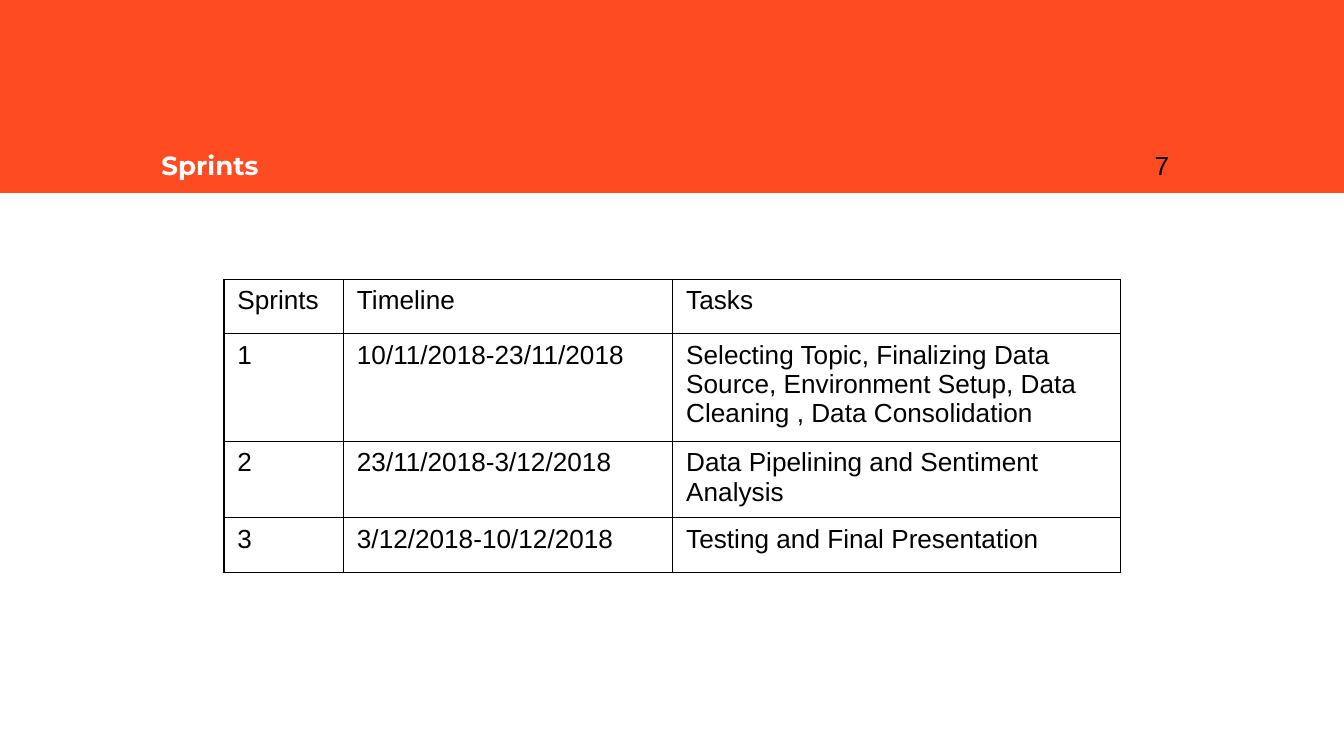
from dataclasses import dataclass

from lxml import etree
from pptx import Presentation
from pptx.dml.color import RGBColor
from pptx.enum.shapes import MSO_SHAPE
from pptx.enum.text import MSO_ANCHOR
from pptx.oxml.ns import qn
from pptx.util import Inches, Pt

RECTANGLE = MSO_SHAPE.RECTANGLE
BOTTOM = MSO_ANCHOR.BOTTOM
BORDER_SIDES = ("a:lnL", "a:lnR", "a:lnT", "a:lnB")
BLANK_LAYOUT = 6


@dataclass(frozen=True)
class Theme:
    banner: str = "FF4B21"
    title: str = "FFFFFF"
    ink: str = "000000"
    heading_font: str = "Montserrat"
    body_font: str = "Arial"
    size: float = 14
    border: float = 0.75


class SlideBuilder:
    COLUMNS = 100

    def __init__(self, presentation, theme):
        self.theme = theme
        self.slide = presentation.slides.add_slide(presentation.slide_layouts[BLANK_LAYOUT])
        self.unit = presentation.slide_width / self.COLUMNS

    def grid(self, *lengths):
        return [round(length * self.unit) for length in lengths]

    def run(self, paragraph, text, font, color, bold=False):
        paragraph.font.size = Pt(self.theme.size)
        run = paragraph.add_run()
        run.text = text
        run.font.name = font
        run.font.size = Pt(self.theme.size)
        run.font.bold = bold
        run.font.color.rgb = RGBColor.from_string(color)

    def banner(self, *box):
        shape = self.slide.shapes.add_shape(RECTANGLE, *self.grid(*box))
        shape.shadow.inherit = False
        shape.fill.solid()
        shape.fill.fore_color.rgb = RGBColor.from_string(self.theme.banner)
        shape.line.fill.background()

    def label(self, text, box, font, color, bold=False):
        frame = self.slide.shapes.add_textbox(*self.grid(*box)).text_frame
        frame.word_wrap = True
        frame.vertical_anchor = BOTTOM
        frame.margin_left, frame.margin_top, frame.margin_right, frame.margin_bottom = self.grid(1, 1, 1, 1)
        self.run(frame.paragraphs[0], text, font, color, bold)

    def borders(self, cell):
        properties = cell._tc.get_or_add_tcPr()
        for position, side in enumerate(BORDER_SIDES):
            line = etree.Element(qn(side), w=str(Pt(self.theme.border)))
            fill = etree.SubElement(line, qn("a:solidFill"))
            etree.SubElement(fill, qn("a:srgbClr"), val=self.theme.ink)
            properties.insert(position, line)

    def table(self, rows, left, top, widths, height, row_height):
        box = self.grid(left, top, sum(widths), height)
        frame = self.slide.shapes.add_table(len(rows), len(widths), *box)
        table = frame.table
        table.first_row = table.horz_banding = False
        for column, width in zip(table.columns, self.grid(*widths)):
            column.width = width
        for row, texts in zip(table.rows, rows):
            row.height, = self.grid(row_height)
            for cell, text in zip(row.cells, texts):
                cell.fill.background()
                self.borders(cell)
                self.run(cell.text_frame.paragraphs[0], text, self.theme.body_font, self.theme.ink)
        frame.height = box[-1]


def main():
    presentation = Presentation()
    presentation.slide_width = Inches(10)
    presentation.slide_height = presentation.slide_width * 9 // 16
    theme = Theme()
    builder = SlideBuilder(presentation, theme)
    builder.banner(0, 0, 100, 14.36)
    builder.label("Sprints", (11.03, 7.13, 78, 7.3), theme.heading_font, theme.title, bold=True)
    builder.label("7", (84.93, 7.13, 6, 7.3), theme.body_font, theme.ink)
    sprints = [
        ("Sprints", "Timeline", "Tasks"),
        ("1", "10/11/2018-23/11/2018",
         "Selecting Topic, Finalizing Data Source, Environment Setup, Data Cleaning , Data Consolidation"),
        ("2", "23/11/2018-3/12/2018", "Data Pipelining and Sentiment Analysis"),
        ("3", "3/12/2018-10/12/2018", "Testing and Final Presentation"),
    ]
    builder.table(sprints, 16.66, 20.77, (8.9, 24.5, 33.3), 21.8, 4.06)
    presentation.save("out.pptx")


if __name__ == "__main__":
    main()
